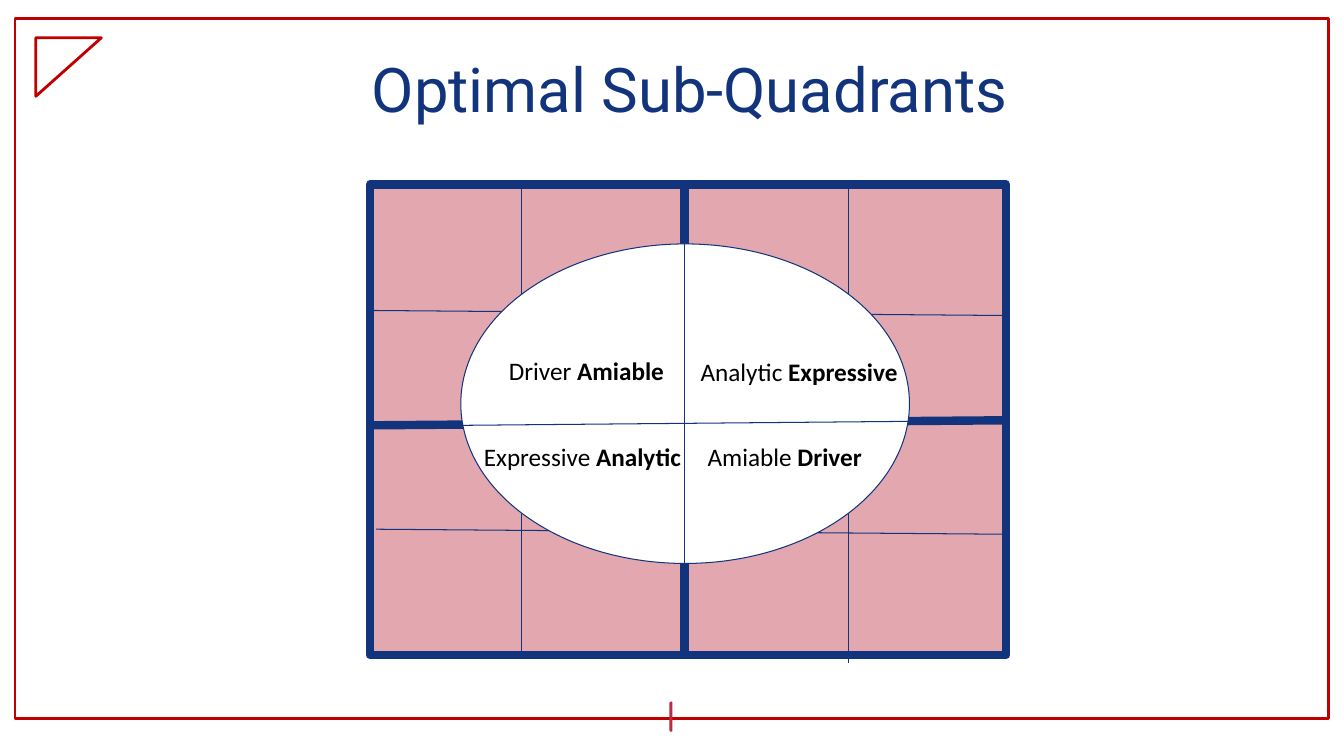
from dataclasses import dataclass

from lxml import etree
from pptx import Presentation
from pptx.dml.color import RGBColor
from pptx.enum.shapes import MSO_CONNECTOR, MSO_SHAPE
from pptx.enum.text import MSO_ANCHOR, MSO_AUTO_SIZE, PP_ALIGN
from pptx.oxml.ns import qn
from pptx.util import Inches, Pt

RECTANGLE = MSO_SHAPE.RECTANGLE
TRIANGLE = MSO_SHAPE.RIGHT_TRIANGLE
ROUNDED = MSO_SHAPE.ROUND_2_DIAG_RECTANGLE
ELLIPSE = MSO_SHAPE.OVAL
STRAIGHT = MSO_CONNECTOR.STRAIGHT
MIDDLE = MSO_ANCHOR.MIDDLE
CENTER = PP_ALIGN.CENTER
GROW = MSO_AUTO_SIZE.SHAPE_TO_FIT_TEXT


@dataclass(frozen=True)
class Theme:
    navy: RGBColor = RGBColor.from_string("11347D")
    red: RGBColor = RGBColor.from_string("C00000")
    rose: RGBColor = RGBColor.from_string("BB2C3F")
    white: RGBColor = RGBColor.from_string("FFFFFF")
    black: RGBColor = RGBColor.from_string("000000")
    title_font: str = "Roboto"
    label_font: str = "Calibri"
    title_size: Pt = Pt(44)
    label_size: Pt = Pt(18)
    thick: Pt = Pt(6)
    border: Pt = Pt(2)
    thin: Pt = Pt(0.75)


theme = Theme()


def add_figure(kind, place, fill=None, line=None, width=None):
    figure = page.shapes.add_shape(kind, *map(Inches, place))
    figure.shadow.inherit = False
    if fill is None:
        figure.fill.background()
    else:
        figure.fill.solid()
        figure.fill.fore_color.rgb = fill
    if line is None:
        figure.line.fill.background()
    else:
        figure.line.color.rgb = line
        figure.line.width = width
    return figure


def add_divider(start, end, width):
    divider = page.shapes.add_connector(STRAIGHT, *map(Inches, start + end))
    divider.line.color.rgb = theme.navy
    divider.line.width = width
    etree.SubElement(divider._element.spPr, qn("a:effectLst"))


deck = Presentation()
deck.slide_width = Inches(13.33)
deck.slide_height = Inches(7.5)
page = deck.slides.add_slide(deck.slide_layouts[6])

add_figure(RECTANGLE, (0.15, 0.18, 13.03, 6.95), line=theme.red, width=theme.border)
corner = add_figure(TRIANGLE, (0.39, 0.34, 0.58, 0.65), line=theme.red, width=theme.border)
corner.rotation = 90
tick = add_figure(ROUNDED, (6.64, 6.96, 0.03, 0.3), fill=theme.rose)
tick.adjustments[0] = 0.5
tick.adjustments[1] = 0.5

title = page.shapes.add_textbox(*map(Inches, (0.51, 0.19, 12.67, 1.45)))
title.text_frame.word_wrap = True
title.text_frame.vertical_anchor = MIDDLE
para = title.text_frame.paragraphs[0]
para.alignment = CENTER
para.line_spacing = 0.9
span = para.add_run()
span.text = "Optimal Sub-Quadrants"
span.font.name = theme.title_font
span.font.size = theme.title_size
span.font.color.rgb = theme.navy

board = add_figure(RECTANGLE, (3.67, 1.83, 6.31, 4.67), theme.rose, theme.navy, theme.thick)
board_color = board.fill._xPr.find(qn("a:solidFill"))[0]
etree.SubElement(board_color, qn("a:alpha")).set("val", "41000")

board_dividers = [
    ((6.79, 1.83), (6.79, 6.5), theme.thick),
    ((3.64, 4.22), (9.95, 4.17), theme.thick),
    ((8.42, 1.83), (8.42, 6.58), theme.thin),
    ((5.17, 1.83), (5.17, 6.5), theme.thin),
    ((3.67, 3.08), (9.98, 3.13), theme.thin),
    ((3.73, 5.25), (9.98, 5.3), theme.thin),
]
for start, end, width in board_dividers:
    add_divider(start, end, width)

add_figure(ELLIPSE, (4.57, 2.42, 4.45, 3.17), theme.white, theme.navy, theme.thin)
add_divider((6.79, 2.42), (6.79, 5.67), theme.thin)
add_divider((4.57, 4.22), (9.02, 4.18), theme.thin)

labels = [
    (4.7, 4.33, 2.58, True, "Expressive ", "Analytic"),
    (6.92, 4.33, 1.78, False, "Amiable", " Driver"),
    (4.95, 3.48, 1.76, False, "Driver ", "Amiable"),
    (6.85, 3.49, 2.59, True, "Analytic ", "Expressive"),
]
for left, top, width, wrap, plain, strong in labels:
    box = page.shapes.add_textbox(*map(Inches, (left, top, width, 0.4)))
    box.text_frame.word_wrap = wrap
    box.text_frame.auto_size = GROW
    para = box.text_frame.paragraphs[0]
    for text, bold in ((plain, False), (strong, True)):
        span = para.add_run()
        span.text = text
        span.font.name = theme.label_font
        span.font.size = theme.label_size
        span.font.bold = bold
        span.font.color.rgb = theme.black

deck.save("out.pptx")
